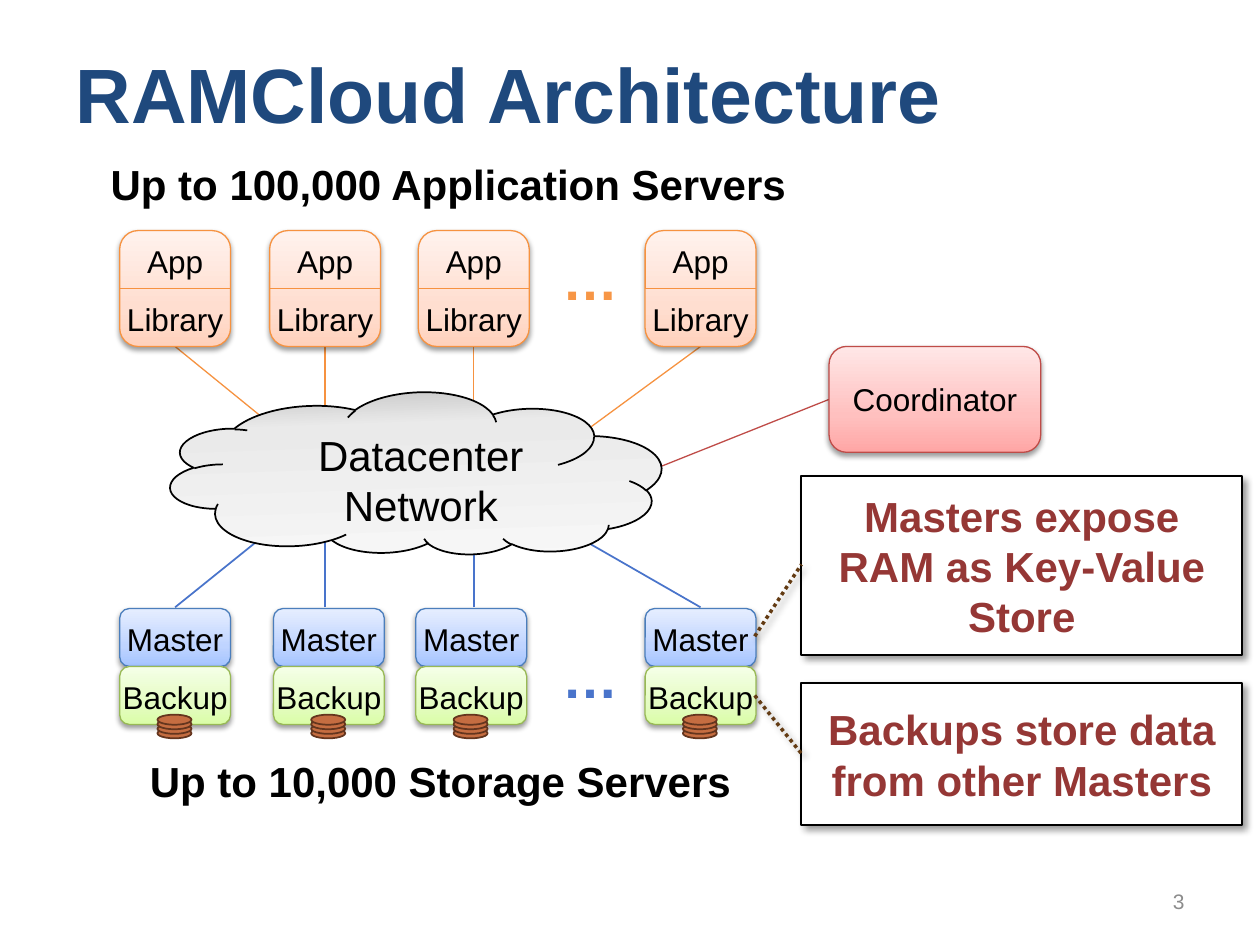
from dataclasses import dataclass

from lxml.etree import SubElement
from pptx import Presentation
from pptx.dml.color import RGBColor
from pptx.enum.dml import MSO_LINE
from pptx.enum.shapes import MSO_CONNECTOR as CONN, MSO_SHAPE as SHAPE
from pptx.enum.text import MSO_ANCHOR as ANCHOR, MSO_AUTO_SIZE as FIT, PP_ALIGN as ALIGN
from pptx.oxml.ns import qn
from pptx.util import Inches, Pt


@dataclass(frozen=True)
class Theme:
    font: str = "Arial"
    title_size: int = 44
    dots_size: int = 32
    heading_size: int = 24
    label_size: int = 18
    number_size: int = 12
    title: str = "1F497D"
    text: str = "000000"
    white: str = "FFFFFF"
    callout: str = "953735"
    number: str = "8C8C8C"
    app_line: str = "F69240"
    app_dots: str = "F79646"
    link: str = "4974CB"
    master_line: str = "4B7EBC"
    backup_line: str = "98B955"
    coordinator_line: str = "BF4C48"
    disk: str = "C56D41"
    disk_line: str = "64351E"
    pointer: str = "633B13"
    # Gradients: (position, colour) stops
    app: tuple = ((0, "FFD2BD"), (35, "FFDED0"), (100, "FFF2ED"))
    master: tuple = ((0, "A4C4FF"), (35, "BFD4FF"), (100, "E6EEFF"))
    backup: tuple = ((0, "DAFDA7"), (35, "E4FCC2"), (100, "F5FFE7"))
    coordinator: tuple = ((0, "FFA6A5"), (35, "FFC0BF"), (100, "FFE7E7"))
    cloud: tuple = ((0, "F8F8F8"), (76, "EAEAEA"), (100, "C0C0C0"))
    # Shadows: opacity %, blur pt, distance pt, direction
    soft: tuple = (38, 3.1, 1.6, 90)
    hard: tuple = (40, 4, 3, 45)


T = Theme()
SERVER_W, HALF_H = 0.88, 0.46


def rgb(value):
    return RGBColor.from_string(value)


def set_effect(sp, shadow=None):
    """Replace the theme shadow by the given one, or by none."""
    effects = SubElement(sp._element.spPr, qn("a:effectLst"))
    if shadow:
        alpha, blur, dist, angle = shadow
        outer = SubElement(effects, qn("a:outerShdw"), blurRad=str(Pt(blur)), dist=str(Pt(dist)),
                           dir=str(angle * 60000), algn="ctr", rotWithShape="0")
        color = SubElement(outer, qn("a:srgbClr"), val=T.text)
        SubElement(color, qn("a:alpha"), val=str(alpha * 1000))


def set_gradient(sp, stops, angle):
    sp.fill.gradient()
    grad = sp._element.spPr.find(qn("a:gradFill"))
    for child in list(grad):
        grad.remove(child)
    grad.set("rotWithShape", "1")
    gs_list = SubElement(grad, qn("a:gsLst"))
    for pos, color in stops:
        gs = SubElement(gs_list, qn("a:gs"), pos=str(pos * 1000))
        SubElement(gs, qn("a:srgbClr"), val=color)
    SubElement(grad, qn("a:lin"), ang=str(angle * 60000), scaled="0")


def write(tf, text, size=T.label_size, color=T.text, bold=False, align=ALIGN.CENTER,
          anchor=ANCHOR.TOP, wrap=True, fit=FIT.NONE):
    tf.word_wrap, tf.auto_size, tf.vertical_anchor = wrap, fit, anchor
    p = tf.paragraphs[0]
    p.text, p.alignment = text, align
    for r in p.runs:
        r.font.name, r.font.size, r.font.bold = T.font, Pt(size), bold
        r.font.color.rgb = rgb(color)


def add_text(shapes, box, text, inset=True, **fmt):
    tf = shapes.add_textbox(*map(Inches, box)).text_frame
    if not inset:
        tf.margin_left = tf.margin_right = tf.margin_top = tf.margin_bottom = 0
    write(tf, text, **fmt)


def add_box(shapes, kind, box, fill, line, width=0.75, shadow=None, angle=270):
    sp = shapes.add_shape(kind, *map(Inches, box))
    if isinstance(fill, str):
        sp.fill.solid()
        sp.fill.fore_color.rgb = rgb(fill)
    else:
        set_gradient(sp, fill, angle)
    sp.line.color.rgb, sp.line.width = rgb(line), Pt(width)
    set_effect(sp, shadow)
    return sp


def add_line(shapes, start, end, color, width=0.75, dash=None, shadow=None):
    ln = shapes.add_connector(CONN.STRAIGHT, *map(Inches, (*start, *end)))
    ln.line.color.rgb, ln.line.width = rgb(color), Pt(width)
    if dash:
        ln.line.dash_style = dash
    set_effect(ln, shadow)


def add_app_server(slide, x, y):
    shapes = slide.shapes.add_group_shape().shapes
    add_box(shapes, SHAPE.ROUNDED_RECTANGLE, (x, y, SERVER_W, 2 * HALF_H),
            T.app, T.app_line, shadow=T.soft)
    for i, label in enumerate(("App", "Library")):
        add_text(shapes, (x, y + 0.09 + i * HALF_H, SERVER_W, 0.28), label, inset=False)
    add_line(shapes, (x, y + HALF_H), (x + SERVER_W, y + HALF_H), T.app_line)


def add_storage_server(slide, x, y):
    shapes = slide.shapes.add_group_shape().shapes
    parts = (("Master", T.master, T.master_line), ("Backup", T.backup, T.backup_line))
    for i, (label, fill, line) in enumerate(parts):
        top = y + i * HALF_H
        add_box(shapes, SHAPE.ROUNDED_RECTANGLE, (x, top, SERVER_W, HALF_H),
                fill, line, shadow=T.soft)
        add_text(shapes, (x, top + 0.09, SERVER_W, 0.28), label, inset=False)
    # Stack of disks, lowest first
    for i in range(4):
        add_box(shapes, SHAPE.OVAL, (x + 0.3, y + 0.95 - i * 0.036, 0.27, 0.08),
                T.disk, T.disk_line, width=1)


def add_server_row(slide, draw, lefts, top, dots_top, dots_color):
    for x in lefts:
        draw(slide, x, top)
    add_text(slide.shapes, (4.37, dots_top, 0.6, 0.59), "…", size=T.dots_size,
             color=dots_color, bold=True, wrap=False, fit=FIT.SHAPE_TO_FIT_TEXT)


def add_network_links(slide, app_bottom, storage_top):
    app_ends = ((1.39, 2.14, 3.36), (2.58, 2.58, 3.28), (3.76, 3.76, 3.28), (5.56, 4.62, 3.44))
    storage_ends = ((1.39, 2.06, 4.28), (2.58, 2.58, 4.28), (3.76, 3.76, 4.35), (5.56, 4.62, 4.28))
    for ends, y, color, width in ((app_ends, app_bottom, T.app_line, 0.75),
                                  (storage_ends, storage_top, T.link, 1)):
        for x, cloud_x, cloud_y in ends:
            add_line(slide.shapes, (x, y), (cloud_x, cloud_y), color, width)


def add_network(slide, box):
    x, y, w, h = box
    sp = add_box(slide.shapes, SHAPE.CLOUD, box, T.cloud, T.text, width=1, angle=90)
    sp.rotation = 358
    sp._element.spPr.find(qn("a:xfrm")).set("flipV", "1")
    add_text(slide.shapes, (x + 0.96, y + 0.24, 2.06, 0.83), "Datacenter\vNetwork",
             size=T.heading_size)


def add_coordinator(slide, box):
    sp = add_box(slide.shapes, SHAPE.ROUNDED_RECTANGLE, box, T.coordinator,
                 T.coordinator_line, shadow=T.soft)
    write(sp.text_frame, "Coordinator", anchor=ANCHOR.MIDDLE)


def add_callout(slide, box, text):
    sp = add_box(slide.shapes, SHAPE.RECTANGLE, box, T.white, T.text, width=1, shadow=T.hard)
    write(sp.text_frame, text, size=T.heading_size, color=T.callout, bold=True,
          anchor=ANCHOR.MIDDLE)


def add_title(slide, box, text):
    title = slide.shapes.title
    title.left, title.top, title.width, title.height = map(Inches, box)
    write(title.text_frame, text, size=T.title_size, color=T.title, bold=True,
          align=ALIGN.LEFT, anchor=ANCHOR.MIDDLE)


def main():
    prs = Presentation()
    prs.slide_width, prs.slide_height = Inches(10), Inches(7.5)
    slide = prs.slides.add_slide(prs.slide_layouts[5])
    shapes = slide.shapes

    # Title and headings
    add_title(slide, (0.5, 0.3, 9, 0.87), "RAMCloud Architecture")
    add_text(shapes, (0.78, 1.21, 5.83, 0.5), "Up to 100,000 Application Servers",
             size=T.heading_size, bold=True, align=ALIGN.LEFT)
    add_text(shapes, (0.62, 5.95, 5.75, 0.5), "Up to 10,000 Storage Servers",
             size=T.heading_size, bold=True)

    # Links lie beneath the servers and the cloud
    add_line(shapes, (6.58, 3.17), (5.25, 3.7), T.coordinator_line)
    add_network_links(slide, 2.75, 4.82)
    add_server_row(slide, add_app_server, (0.95, 2.14, 3.32, 5.12), 1.83, 1.89, T.app_dots)
    add_server_row(slide, add_storage_server, (0.95, 2.17, 3.3, 5.12), 4.83, 5.05, T.link)
    add_network(slide, (1.35, 3.12, 3.9, 1.3))
    add_coordinator(slide, (6.58, 2.75, 1.68, 0.84))

    # Callouts with dotted pointers
    add_callout(slide, (6.36, 3.78, 3.5, 1.42), "Masters expose RAM as Key-Value Store")
    add_callout(slide, (6.36, 5.42, 3.5, 1.13), "Backups store data from other Masters")
    for start_y, end_y in ((5.05, 4.48), (5.52, 5.98)):
        add_line(shapes, (5.99, start_y), (6.36, end_y), T.pointer, width=2,
                 dash=MSO_LINE.ROUND_DOT, shadow=T.hard)

    # Slide number
    add_text(shapes, (7.17, 6.95, 2.33, 0.4), "3", size=T.number_size, color=T.number,
             align=ALIGN.RIGHT, anchor=ANCHOR.MIDDLE)
    prs.save("out.pptx")


if __name__ == "__main__":
    main()
